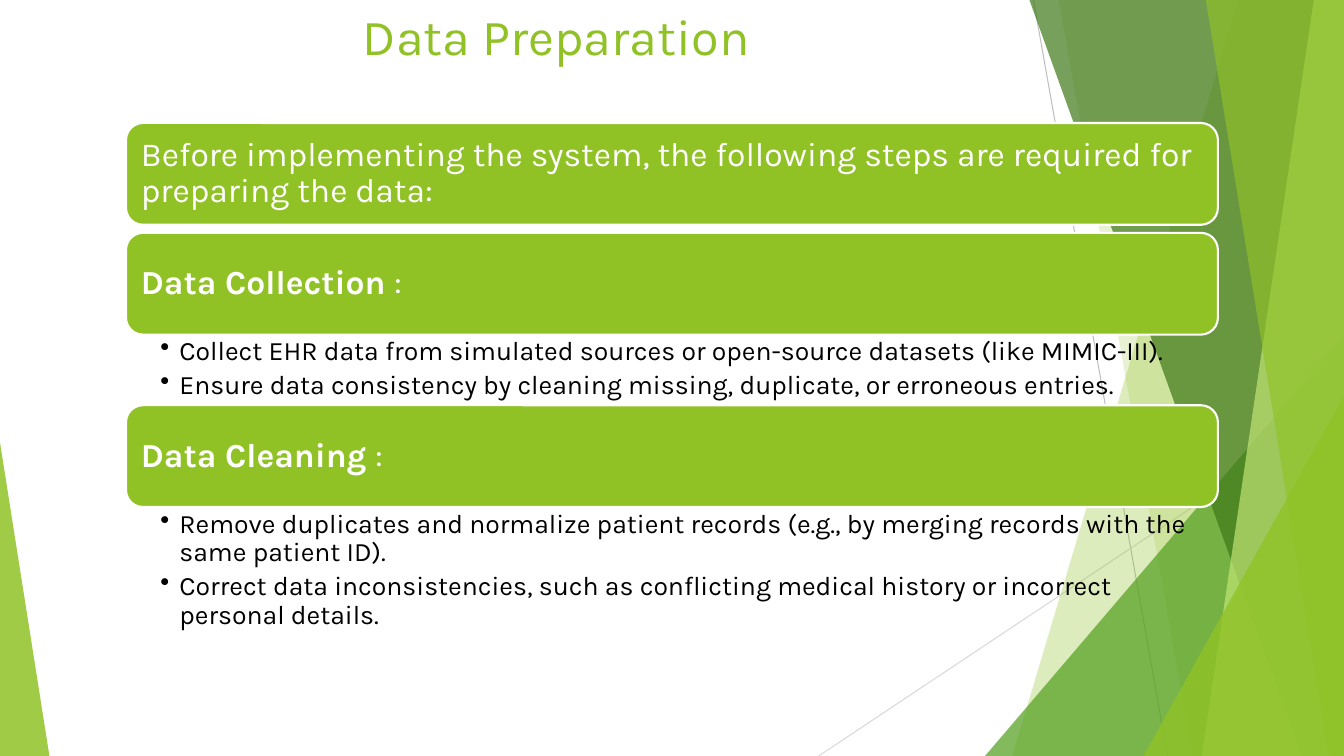
from dataclasses import dataclass

from pptx import Presentation
from pptx.dml.color import RGBColor
from pptx.enum.shapes import MSO_CONNECTOR, MSO_SHAPE
from pptx.enum.text import MSO_ANCHOR, MSO_AUTO_SIZE, PP_ALIGN
from pptx.oxml.ns import qn
from pptx.util import Inches, Pt
from lxml.etree import SubElement

GREEN = RGBColor(0x90, 0xC2, 0x26)
MID_GREEN = RGBColor(0x54, 0xA0, 0x21)
DARK_GREEN = RGBColor(0x3F, 0x78, 0x19)
PALE_GREEN = RGBColor(0xC0, 0xE4, 0x74)
GREY = RGBColor(0xBF, 0xBF, 0xBF)
LIGHT_GREY = RGBColor(0xD9, 0xD9, 0xD9)
WHITE = RGBColor(0xFF, 0xFF, 0xFF)
BLACK = RGBColor(0x00, 0x00, 0x00)
FONT = "Karla"
WIDTH, HEIGHT = 13.33, 7.5
LEFT, CONTENT_WIDTH, BAR_HEIGHT = 1.25, 10.83, 1.01


@dataclass
class Ray:
    start: tuple[float, float]
    end: tuple[float, float]
    color: RGBColor


@dataclass
class Band:
    """Facet running to the right slide edge, with a slanted left side."""
    top_x: float
    bottom_x: float
    color: RGBColor
    opacity: int


@dataclass
class Triangle:
    left: float
    top: float
    width: float
    apex: float
    color: RGBColor
    opacity: int


@dataclass
class Section:
    top: float
    heading: str
    tail: str = ""
    bullets: tuple[str, ...] = ()
    list_height: float = 0


DECOR = [
    Ray((10.25, 0), (11.58, HEIGHT), GREY),
    Ray((WIDTH, 4.03), (8.12, HEIGHT), LIGHT_GREY),
    Band(12.28, 10.04, GREEN, 30),
    Band(10.5, 11.83, GREEN, 20),
    Triangle(9.77, 3.33, 3.56, 1, MID_GREEN, 72),
    Band(10.21, 12.91, DARK_GREEN, 70),
    Band(13.03, 11.92, PALE_GREEN, 70),
    Band(11.96, 13.18, GREEN, 65),
    Triangle(11.34, 3.93, 1.99, 1, GREEN, 80),
    Triangle(0, 4.39, 0.49, 0, GREEN, 85),
]

SECTIONS = [
    Section(1.22, "Before implementing the system, the following steps are "
                  "required for preparing the data:"),
    Section(2.31, "Data Collection ", ":", (
        "Collect EHR data from simulated sources or open-source datasets (like MIMIC-III).",
        "Ensure data consistency by cleaning missing, duplicate, or erroneous entries.",
    ), 0.69),
    Section(4.02, "Data Cleaning ", ":", (
        "Remove duplicates and normalize patient records (e.g., by merging records "
        "with the same patient ID).",
        "Correct data inconsistencies, such as conflicting medical history or "
        "incorrect personal details.",
    ), 1.25),
]


def style_font(font, size: float, color: RGBColor) -> None:
    font.name, font.size = FONT, Pt(size)
    font.color.rgb = color


def set_margins(tf, left: float, top: float, right: float, bottom: float) -> None:
    tf.margin_left, tf.margin_top = Inches(left), Inches(top)
    tf.margin_right, tf.margin_bottom = Inches(right), Inches(bottom)


def fill_facet(sp, color: RGBColor, opacity: int) -> None:
    sp.shadow.inherit = False
    sp.fill.solid()
    sp.fill.fore_color.rgb = color
    clr = sp.element.spPr.find(qn("a:solidFill")).find(qn("a:srgbClr"))
    SubElement(clr, qn("a:alpha")).set("val", str(opacity * 1000))
    sp.line.fill.background()


def draw_ray(s, ray: Ray) -> None:
    line = s.shapes.add_connector(
        MSO_CONNECTOR.STRAIGHT, *map(Inches, ray.start + ray.end))
    line.line.color.rgb = ray.color
    line.line.width = Pt(0.75)
    SubElement(line.element.spPr, qn("a:effectLst"))


def draw_band(s, band: Band) -> None:
    builder = s.shapes.build_freeform(Inches(band.top_x), 0)
    corners = [(WIDTH, 0), (WIDTH, HEIGHT), (band.bottom_x, HEIGHT)]
    builder.add_line_segments([(Inches(x), Inches(y)) for x, y in corners])
    fill_facet(builder.convert_to_shape(), band.color, band.opacity)


def draw_triangle(s, tri: Triangle) -> None:
    sp = s.shapes.add_shape(
        MSO_SHAPE.ISOSCELES_TRIANGLE, Inches(tri.left), Inches(tri.top),
        Inches(tri.width), Inches(HEIGHT - tri.top))
    sp.adjustments[0] = tri.apex
    fill_facet(sp, tri.color, tri.opacity)


def draw_bar(s, section: Section) -> None:
    sp = s.shapes.add_shape(
        MSO_SHAPE.ROUNDED_RECTANGLE, Inches(LEFT), Inches(section.top),
        Inches(CONTENT_WIDTH), Inches(BAR_HEIGHT))
    sp.shadow.inherit = False
    sp.fill.solid()
    sp.fill.fore_color.rgb = GREEN
    sp.line.color.rgb = WHITE
    sp.line.width = Pt(1.5)
    tf = sp.text_frame
    tf.word_wrap = True
    tf.vertical_anchor = MSO_ANCHOR.MIDDLE
    # The rounded corner already insets the text by about 0.05
    set_margins(tf, 0.1, 0.1, 0.1, 0.1)
    p = tf.paragraphs[0]
    p.text = section.heading
    p.alignment = PP_ALIGN.LEFT
    p.line_spacing = 0.9
    p.runs[0].font.bold = bool(section.tail)
    if section.tail:
        p.add_run().text = section.tail
    for r in p.runs:
        style_font(r.font, 24, WHITE)


def draw_bullets(s, section: Section) -> None:
    box = s.shapes.add_textbox(
        Inches(LEFT), Inches(section.top + BAR_HEIGHT),
        Inches(CONTENT_WIDTH), Inches(section.list_height))
    tf = box.text_frame
    tf.word_wrap = True
    set_margins(tf, 0.34, 0.03, 0.19, 0.03)
    tf.text = "\n".join(section.bullets)
    for p in tf.paragraphs:
        p.level = 1
        p.line_spacing = 0.9
        p.space_after = Pt(3.8)
        pPr = p._p.get_or_add_pPr()
        pPr.set("marL", str(Inches(0.19)))
        pPr.set("indent", str(-Inches(0.19)))
        SubElement(pPr, qn("a:buChar")).set("char", "•")
        for r in p.runs:
            style_font(r.font, 19, BLACK)


def draw_title(s) -> None:
    title = s.shapes.title
    title.left, title.top = Inches(LEFT), Inches(0)
    title.width, title.height = Inches(CONTENT_WIDTH), Inches(1.05)
    tf = title.text_frame
    tf.text = "Data Preparation"
    tf.auto_size = MSO_AUTO_SIZE.NONE
    tf.vertical_anchor = MSO_ANCHOR.TOP
    set_margins(tf, 2.35, 0.05, 0.1, 0.05)
    p = tf.paragraphs[0]
    p.alignment = PP_ALIGN.LEFT
    style_font(p.runs[0].font, 36, GREEN)


def main() -> None:
    prs = Presentation()
    prs.slide_width, prs.slide_height = Inches(WIDTH), Inches(HEIGHT)
    s = prs.slides.add_slide(prs.slide_layouts[5])
    draw_title(s)

    # Faceted background
    painters = {Ray: draw_ray, Band: draw_band, Triangle: draw_triangle}
    for item in DECOR:
        painters[type(item)](s, item)

    # Preparation steps
    for section in SECTIONS:
        draw_bar(s, section)
        if section.bullets:
            draw_bullets(s, section)

    prs.save("out.pptx")


if __name__ == "__main__":
    main()
